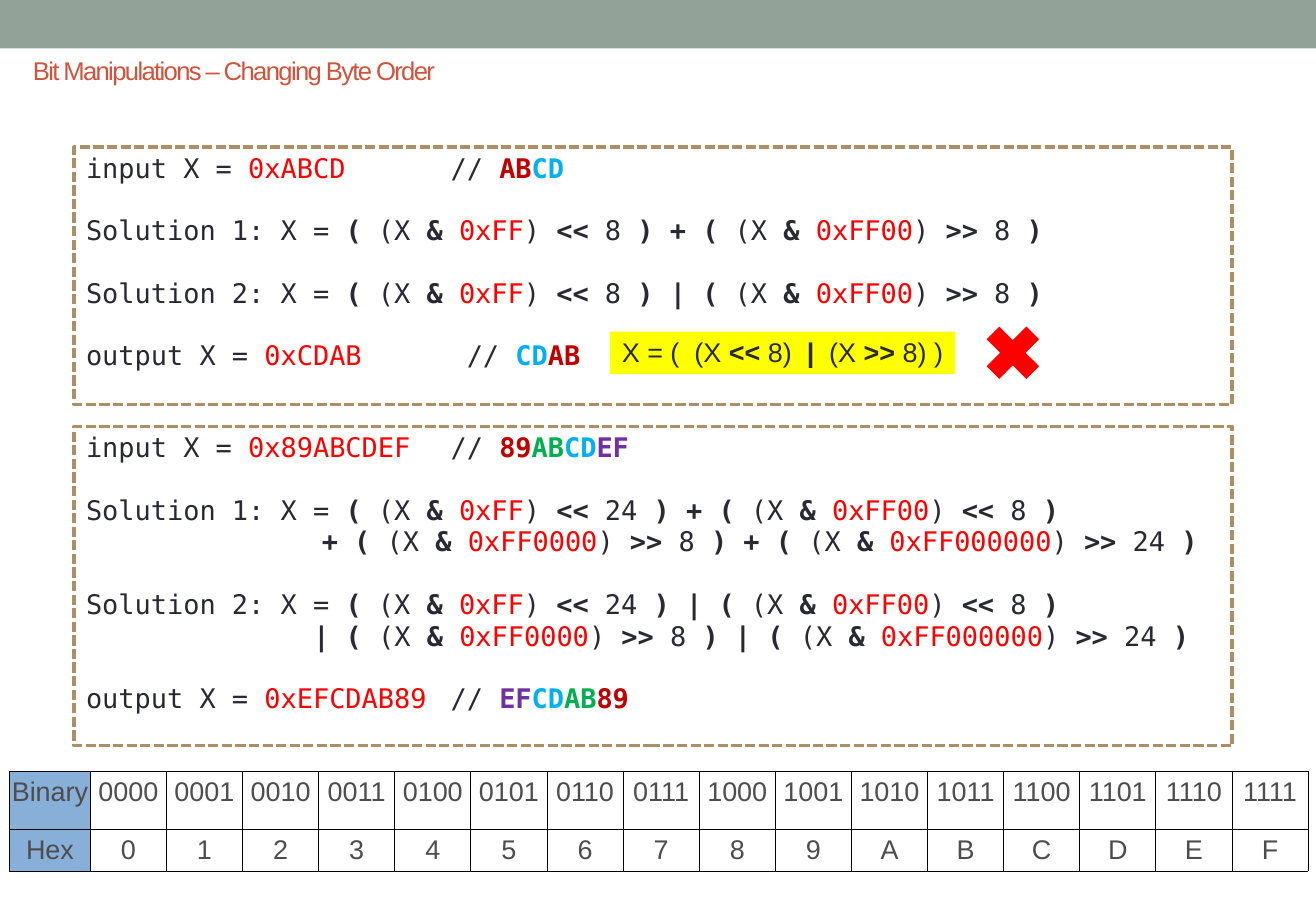
from dataclasses import dataclass
from typing import NamedTuple

from lxml.etree import SubElement
from pptx import Presentation
from pptx.dml.color import RGBColor
from pptx.enum.dml import MSO_LINE_DASH_STYLE as Dash
from pptx.enum.shapes import MSO_SHAPE as Preset
from pptx.enum.text import MSO_ANCHOR as Anchor, MSO_AUTO_SIZE as AutoSize, PP_ALIGN as Align
from pptx.oxml.ns import qn
from pptx.util import Inches, Pt

SLIDE_WIDTH, SLIDE_HEIGHT = Inches(10.83), Inches(7.5)
COLORS = {
    "bar": "93A299", "title": "D2533C", "ink": "292934", "border": "AD8F67",
    "white": "FFFFFF", "black": "000000", "yellow": "FFFF00", "red": "FF0000",
    "dark red": "C00000", "blue": "00B0F0", "green": "00B050", "purple": "7030A0",
    "header": "88AFD7", "cell": "4D4D4D",
}
SANS, MONO = "Arial", "DejaVu Sans Mono"
CODE_SPACING, CODE_LINE = 0.98, Pt(18.25)
COMMENT_TAB = Inches(3)
HEADER_COLUMN = 6.12
ROW_SHARES = (0.6, 0.4)


class Frame(NamedTuple):
    """Place on the slide, in percent of its width and height."""
    left: float
    top: float
    width: float
    height: float

    def lengths(self) -> list[int]:
        sides = (SLIDE_WIDTH, SLIDE_HEIGHT) * 2
        return [round(side * share / 100) for side, share in zip(sides, self)]


class Run(NamedTuple):
    text: str
    color: str = "ink"
    bold: bool = False


@dataclass
class Line:
    runs: list[Run]
    gap_before: bool = True
    indent: float = 0


@dataclass
class CodeBox:
    frame: Frame
    lines: list[Line]


def rgb(name: str) -> RGBColor:
    return RGBColor.from_string(COLORS[name])


def set_all(target, values: dict) -> None:
    for name, value in values.items():
        setattr(target, name, value)


def add_runs(paragraph, runs: list[Run], font_name: str, size: float = 16) -> None:
    for item in runs:
        run = paragraph.add_run()
        run.text = item.text
        set_all(run.font, {"name": font_name, "size": Pt(size), "bold": item.bold})
        run.font.color.rgb = rgb(item.color)


def add_block(slide, preset: Preset, frame: Frame, fill: str):
    shape = slide.shapes.add_shape(preset, *frame.lengths())
    shape.shadow.inherit = False
    shape.fill.solid()
    shape.fill.fore_color.rgb = rgb(fill)
    shape.line.fill.background()
    return shape


def byte_line(label: str, bytes_: dict[str, str], tab: str = "\t", gap: bool = True) -> Line:
    """A value in hex, then its bytes as a comment, each in its own colour."""
    runs = [Run(f"{label} X = "), Run("0x" + "".join(bytes_) + tab, "red"), Run("// ")]
    return Line(runs + [Run(text, color, True) for text, color in bytes_.items()], gap)


def shift_terms(sign: str, *terms: tuple[str, str, int]) -> list[Run]:
    """Masked and shifted terms, joined by the sign."""
    runs = []
    for mask, operator, count in terms:
        opening = f" {sign} (" if runs else "("
        runs += [Run(opening, bold=True), Run(" (X "), Run("& ", bold=True),
                 Run(mask, "red"), Run(") "), Run(operator, bold=True),
                 Run(f" {count} "), Run(")", bold=True)]
    return runs


def solution(number: int, sign: str, *terms: tuple[str, str, int], indent: float = 0) -> list[Line]:
    """Two terms on the first line, any others on an indented second line."""
    lines = [Line([Run(f"Solution {number}: X = ")] + shift_terms(sign, *terms[:2]))]
    if terms[2:]:
        runs = [Run(f"{sign} ", bold=True)] + shift_terms(sign, *terms[2:])
        lines.append(Line(runs, False, indent))
    return lines


def add_code_box(slide, box: CodeBox) -> None:
    shape = add_block(slide, Preset.RECTANGLE, box.frame, "white")
    set_all(shape.line, {"width": Pt(2), "dash_style": Dash.SQUARE_DOT})
    shape.line.color.rgb = rgb("border")
    text_frame = shape.text_frame
    set_all(text_frame, {"word_wrap": True, "vertical_anchor": Anchor.TOP})
    for index, line in enumerate(box.lines):
        paragraph = text_frame.add_paragraph() if index else text_frame.paragraphs[0]
        set_all(paragraph, {"alignment": Align.LEFT, "line_spacing": CODE_SPACING,
                            "space_before": CODE_LINE if line.gap_before else Pt(0)})
        properties = paragraph._p.get_or_add_pPr()
        properties.set("marL", str(Inches(line.indent)))
        tabs = SubElement(properties, qn("a:tabLst"))
        SubElement(tabs, qn("a:tab"), pos=str(COMMENT_TAB), algn="l")
        add_runs(paragraph, line.runs, MONO)


def add_border(cell) -> None:
    properties = cell._tc.get_or_add_tcPr()
    for index, side in enumerate(("lnL", "lnR", "lnT", "lnB")):
        line = properties.makeelement(qn(f"a:{side}"), {"w": str(Pt(0.5))})
        fill = SubElement(line, qn("a:solidFill"))
        SubElement(fill, qn("a:srgbClr"), val=COLORS["black"])
        properties.insert(index, line)


def add_hex_table(slide, frame: Frame) -> None:
    rows = [["Binary"] + [f"{value:04b}" for value in range(16)],
            ["Hex"] + [f"{value:X}" for value in range(16)]]
    lengths = frame.lengths()
    table = slide.shapes.add_table(len(rows), len(rows[0]), *lengths).table
    set_all(table, {"first_row": False, "horz_banding": False})
    header_width = round(SLIDE_WIDTH * HEADER_COLUMN / 100)
    for index, column in enumerate(table.columns):
        column.width = (lengths[2] - header_width) // 16 if index else header_width
    for row, share, texts in zip(table.rows, ROW_SHARES, rows):
        row.height = round(lengths[3] * share)
        for index, (cell, text) in enumerate(zip(row.cells, texts)):
            set_all(cell, {"margin_left": 0, "margin_right": 0})
            cell.fill.solid()
            cell.fill.fore_color.rgb = rgb("white" if index else "header")
            add_border(cell)
            paragraph = cell.text_frame.paragraphs[0]
            paragraph.alignment = Align.CENTER
            add_runs(paragraph, [Run(text, "cell")], SANS)


def format_title(title, text: str, frame: Frame) -> None:
    set_all(title, dict(zip(("left", "top", "width", "height"), frame.lengths())))
    set_all(title.text_frame, {"vertical_anchor": Anchor.MIDDLE, "auto_size": AutoSize.NONE})
    paragraph = title.text_frame.paragraphs[0]
    paragraph.alignment = Align.LEFT
    add_runs(paragraph, [Run(text, "title")], SANS, 15.2)
    paragraph.runs[0].font._element.set("spc", "-100")


def add_wrong_answer(slide) -> None:
    note = add_block(slide, Preset.RECTANGLE, Frame(46.35, 36.4, 26.22, 4.67), "yellow")
    set_all(note.text_frame, {"word_wrap": False, "vertical_anchor": Anchor.TOP})
    paragraph = note.text_frame.paragraphs[0]
    set_all(paragraph, {"alignment": Align.CENTER, "line_spacing": 0.95})
    add_runs(paragraph, [Run("X = (  (X "), Run("<<", bold=True), Run(" 8) "),
                         Run(" |", bold=True), Run("  (X "), Run(">>", bold=True),
                         Run(" 8) )")], SANS)
    cross = add_block(slide, Preset.MATH_MULTIPLY, Frame(74.05, 34.53, 5.82, 8.4), "red")
    cross.adjustments[0] = 0.235


def main() -> None:
    presentation = Presentation()
    set_all(presentation, {"slide_width": SLIDE_WIDTH, "slide_height": SLIDE_HEIGHT})
    slide = presentation.slides.add_slide(presentation.slide_layouts[5])
    format_title(slide.shapes.title, "Bit Manipulations – Changing Byte Order",
                 Frame(1.57, 4.8, 96.95, 5.73))
    add_block(slide, Preset.RECTANGLE, Frame(0, 0, 100, 5.33), "bar")
    add_hex_table(slide, Frame(0.74, 84.67, 98.7, 10.53))

    two_bytes = {"AB": "dark red", "CD": "blue"}
    four_bytes = {"89": "dark red", "AB": "green", "CD": "blue", "EF": "purple"}
    short_terms = [("0xFF", "<<", 8), ("0xFF00", ">>", 8)]
    long_terms = [("0xFF", "<<", 24), ("0xFF00", "<<", 8),
                  ("0xFF0000", ">>", 8), ("0xFF000000", ">>", 24)]
    boxes = [
        CodeBox(Frame(5.63, 16.13, 88, 28.27), [
            byte_line("input", two_bytes, gap=False),
            *solution(1, "+", *short_terms),
            *solution(2, "|", *short_terms),
            byte_line("output", dict(reversed(two_bytes.items())), "\t ")]),
        CodeBox(Frame(5.63, 46.8, 88, 35.07), [
            byte_line("input", four_bytes, gap=False),
            *solution(1, "+", *long_terms, indent=1.94),
            *solution(2, "|", *long_terms, indent=1.87),
            byte_line("output", dict(reversed(four_bytes.items())))]),
    ]
    for box in boxes:
        add_code_box(slide, box)
    add_wrong_answer(slide)
    presentation.save("out.pptx")


if __name__ == "__main__":
    main()
